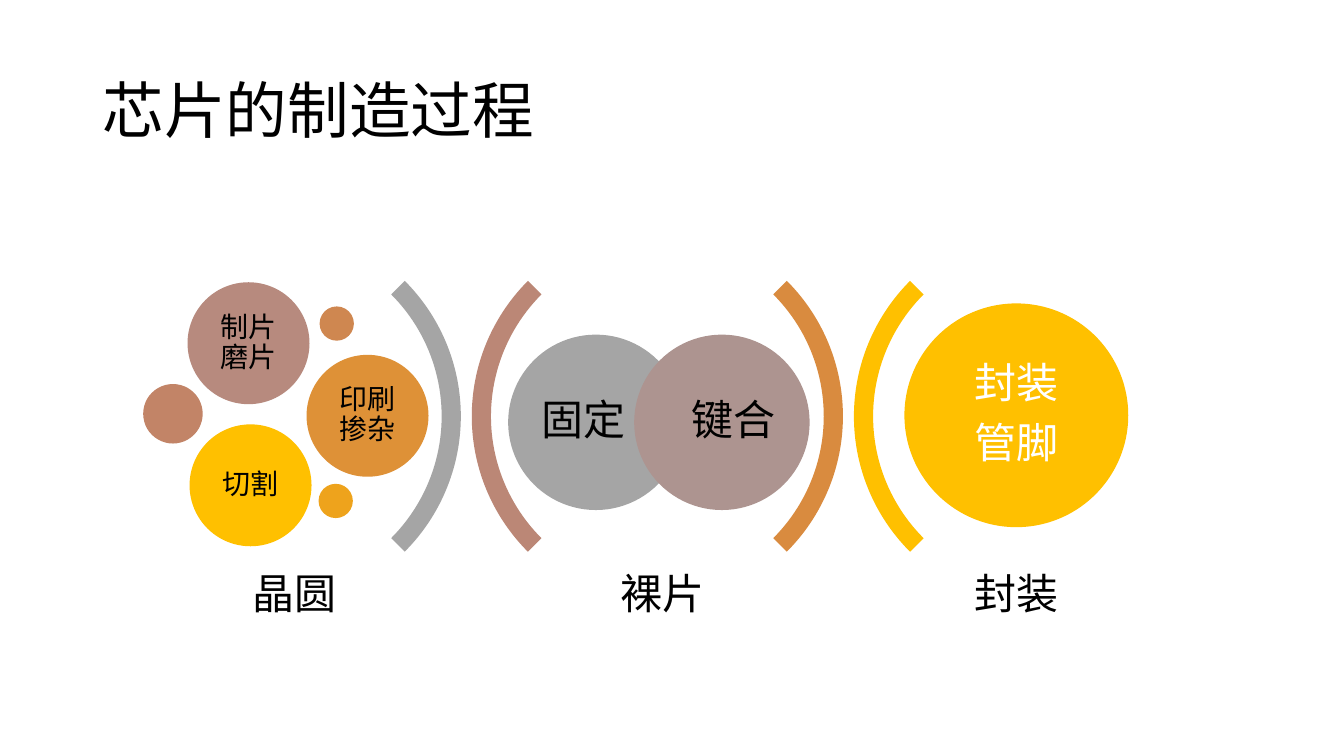
from pptx import Presentation
from pptx.dml.color import RGBColor
from pptx.enum.shapes import MSO_SHAPE
from pptx.enum.text import MSO_ANCHOR, PP_ALIGN
from pptx.util import Inches, Pt

ELLIPSE, BLOCK_ARC = MSO_SHAPE.OVAL, MSO_SHAPE.BLOCK_ARC
MIDDLE = MSO_ANCHOR.MIDDLE
LEFT, CENTER = PP_ALIGN.LEFT, PP_ALIGN.CENTER

BLACK = RGBColor(0x00, 0x00, 0x00)
WHITE = RGBColor(0xFF, 0xFF, 0xFF)
GRAY = RGBColor(0xA5, 0xA5, 0xA5)
MAUVE = RGBColor(0xAD, 0x94, 0x90)
ROSE = RGBColor(0xB7, 0x8A, 0x7E)
CLAY = RGBColor(0xBB, 0x87, 0x76)
TERRACOTTA = RGBColor(0xC2, 0x84, 0x67)
COPPER = RGBColor(0xCF, 0x87, 0x50)
BRONZE = RGBColor(0xD9, 0x8B, 0x3F)
ORANGE = RGBColor(0xDE, 0x91, 0x37)
AMBER = RGBColor(0xEE, 0xA3, 0x1C)
GOLD = RGBColor(0xFF, 0xC0, 0x00)

FONT = "Calibri"
ARC_TOP, ARC_SIZE = 2.23, 3.8
LABEL_TOP, LABEL_WIDTH, LABEL_HEIGHT = 5.53, 2.89, 0.76

prs = Presentation()
prs.slide_width, prs.slide_height = Inches(13.33), Inches(7.5)
slide = prs.slides.add_slide(prs.slide_layouts[6])


def write(shape, text, size=30, color=BLACK, align=CENTER, margins=(0.1, 0.05, 0.1, 0.05), after=0.35):
    """Fill the shape with one paragraph per line; after is a share of the text size."""
    frame = shape.text_frame
    frame.word_wrap = True
    frame.vertical_anchor = MIDDLE
    frame.margin_left, frame.margin_top, frame.margin_right, frame.margin_bottom = map(Inches, margins)
    frame.text = text
    for paragraph in frame.paragraphs:
        paragraph.alignment = align
        paragraph.line_spacing = 0.9
        paragraph.space_after = Pt(size * after)
        paragraph.font.name = FONT
        paragraph.font.size = Pt(size)
        paragraph.font.color.rgb = color


def add_filled(kind, left, top, size, color):
    shape = slide.shapes.add_shape(kind, Inches(left), Inches(top), Inches(size), Inches(size))
    shape.shadow.inherit = False
    shape.fill.solid()
    shape.fill.fore_color.rgb = color
    shape.line.fill.background()
    return shape


title = slide.shapes.add_textbox(Inches(0.92), Inches(0.4), Inches(11.5), Inches(1.45))
write(title, "芯片的制造过程", size=44, align=LEFT, after=0)

# Brackets between the stages
for left, rotation, color in [(0.77, 90, GRAY), (4.68, 270, CLAY), (4.56, 90, BRONZE), (8.47, 270, GOLD)]:
    bracket = add_filled(BLOCK_ARC, left, ARC_TOP, ARC_SIZE, color)
    bracket.rotation = rotation
    for index, value in enumerate((135, 189, 0.05)):
        bracket.adjustments[index] = value

# Stage names
for left, stage in [(1.48, "晶圆"), (5.13, "裸片"), (8.64, "封装")]:
    label = slide.shapes.add_textbox(Inches(left), Inches(LABEL_TOP), Inches(LABEL_WIDTH), Inches(LABEL_HEIGHT))
    write(label, stage, margins=(0.12,) * 4)

# Small accent dots of the wafer stage
for left, top, size, color in [
    (1.42, 3.81, 0.59, TERRACOTTA),
    (3.17, 3.04, 0.34, COPPER),
    (3.16, 4.8, 0.34, AMBER),
]:
    add_filled(ELLIPSE, left, top, size, color)

# Process steps
WAFER_MARGINS = (0.08,) * 4
for left, top, size, color, step, text_size, text_color, margins in [
    (5.04, 3.32, 1.74, GRAY, "固定", 30, BLACK, (0, 0, 0.24, 0)),
    (6.29, 3.32, 1.74, MAUVE, "键合", 30, BLACK, (0.24, 0, 0, 0)),
    (1.86, 2.8, 1.21, ROSE, "制片磨片", 20, BLACK, WAFER_MARGINS),
    (3.04, 3.52, 1.21, ORANGE, "印刷掺杂", 20, BLACK, WAFER_MARGINS),
    (1.88, 4.21, 1.21, GOLD, "切割", 20, BLACK, WAFER_MARGINS),
    (8.97, 3.01, 2.22, GOLD, "封装\n管脚", 30, WHITE, (0.12,) * 4),
]:
    circle = add_filled(ELLIPSE, left, top, size, color)
    write(circle, step, size=text_size, color=text_color, margins=margins)

prs.save("out.pptx")
